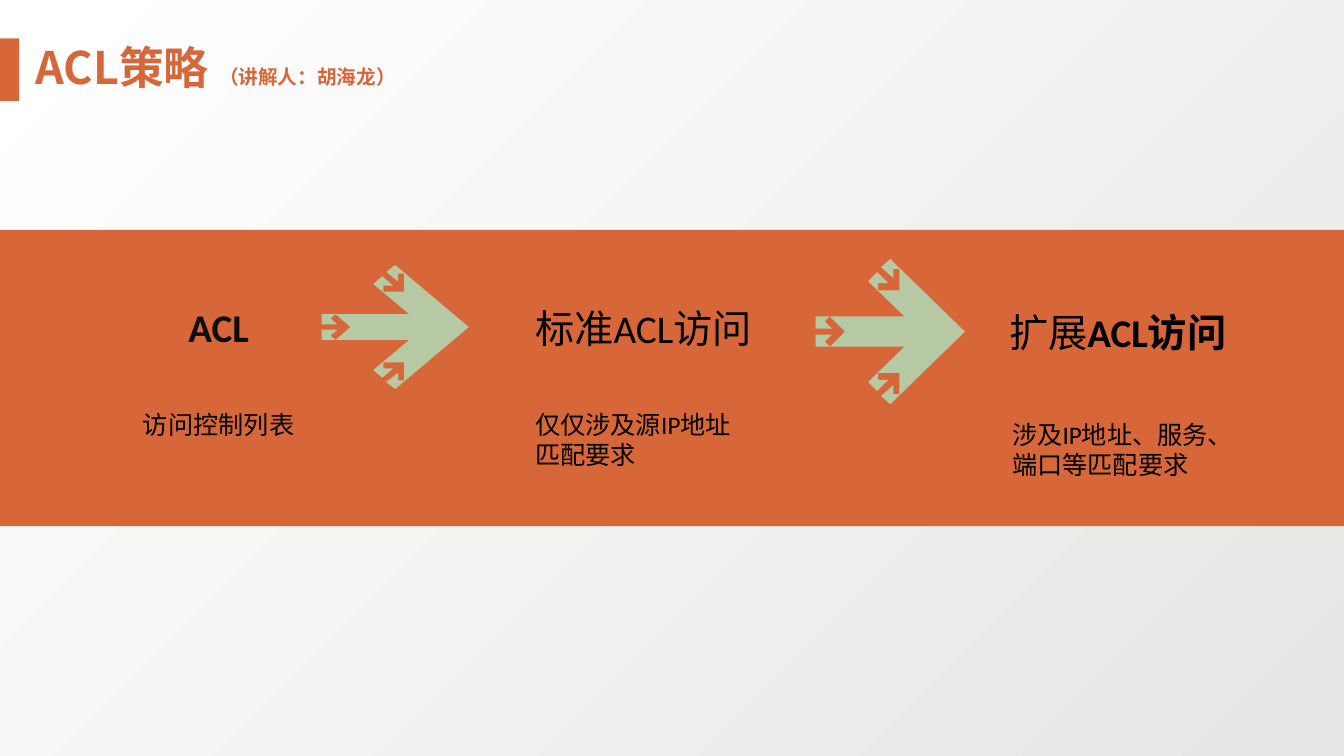
from lxml.etree import SubElement
from pptx import Presentation
from pptx.dml.color import RGBColor
from pptx.enum.shapes import MSO_SHAPE
from pptx.enum.text import MSO_ANCHOR, PP_ALIGN
from pptx.oxml.ns import qn
from pptx.util import Inches, Pt

ORANGE, GREEN, BLACK, NEAR_BLACK = "D76739", "B7C8A5", "000000", "0D0D0D"
LATIN_FONT, CHINESE_FONT = "Calibri", "Noto Sans CJK SC"

# Upper half of the arrow, from tip to inner notch: x from the left edge,
# y as distance above the axis, for an arrow of the base size
BASE_WIDTH, BASE_HEIGHT = 1.48, 1.44
UPPER_HALF = [
    (1.48, 0), (0.74, 0.72), (0.65, 0.64), (0.77, 0.53), (0.77, 0.62),
    (0.83, 0.62), (0.83, 0.41), (0.62, 0.41), (0.62, 0.48), (0.72, 0.48),
    (0.61, 0.59), (0.52, 0.5), (0.88, 0.15), (0, 0.15), (0, 0.03),
    (0.16, 0.03), (0.09, 0.1), (0.14, 0.15), (0.29, 0),
]


def color(hex_string):
    return RGBColor.from_string(hex_string)


def set_attributes(target, values):
    for name, value in values.items():
        setattr(target, name, value)


def paint(shape, fill):
    shape.shadow.inherit = False
    shape.fill.solid()
    shape.fill.fore_color.rgb = color(fill)
    shape.line.fill.background()


def set_background(slide, start, end):
    fill = slide.background.fill
    fill.gradient()
    fill.gradient_angle = 135
    for stop, hex_string in zip(fill.gradient_stops, (start, end)):
        stop.color.rgb = color(hex_string)


def add_bar(slide, left, top, width, height):
    bar = slide.shapes.add_shape(
        MSO_SHAPE.RECTANGLE, Inches(left), Inches(top), Inches(width), Inches(height))
    paint(bar, ORANGE)


def add_arrow(slide, left, top, width, height):
    lower_half = [(x, -y) for x, y in reversed(UPPER_HALF[1:-1])]
    points = [
        (Inches(left + x * width / BASE_WIDTH),
         Inches(top + height / 2 - y * height / BASE_HEIGHT))
        for x, y in UPPER_HALF + lower_half
    ]
    builder = slide.shapes.build_freeform(*points[0])
    builder.add_line_segments(points[1:], close=True)
    paint(builder.convert_to_shape(), GREEN)


def add_run(paragraph, text, size, hex_string, bold=False, latin=LATIN_FONT):
    run = paragraph.add_run()
    run.text = text
    set_attributes(run.font, {"size": Pt(size), "bold": bold, "name": latin})
    run.font.color.rgb = color(hex_string)
    east_asian = SubElement(run.font._element, qn("a:ea"))
    east_asian.set("typeface", CHINESE_FONT)


def add_title(slide):
    title = slide.shapes.title
    set_attributes(title, {"left": Inches(0.02), "top": Inches(0.34),
                           "width": Inches(4.24), "height": Inches(0.64)})
    set_attributes(title.text_frame, {"word_wrap": True,
                                      "vertical_anchor": MSO_ANCHOR.MIDDLE})
    paragraph = title.text_frame.paragraphs[0]
    paragraph.alignment = PP_ALIGN.CENTER
    for text, size in (("ACL策略 ", 32), ("（讲解人：胡海龙）", 14)):
        add_run(paragraph, text, size, ORANGE, True, CHINESE_FONT)


def add_text(slide, box, lines, size, hex_string=BLACK, wrap=True):
    """Each line is a list of (text, bold) pairs."""
    text_box = slide.shapes.add_textbox(*(Inches(value) for value in box))
    frame = text_box.text_frame
    frame.word_wrap = wrap
    for index, line in enumerate(lines):
        paragraph = frame.add_paragraph() if index else frame.paragraphs[0]
        for text, bold in line:
            add_run(paragraph, text, size, hex_string, bold)


def main():
    presentation = Presentation()
    set_attributes(presentation, {"slide_width": Inches(13.33),
                                  "slide_height": Inches(7.5)})
    slide = presentation.slides.add_slide(presentation.slide_layouts[5])
    set_background(slide, "E6E6E5", "FFFFFF")

    # Band and title
    add_bar(slide, 0, 2.28, 13.33, 2.94)
    add_bar(slide, 0, 0.38, 0.19, 0.62)
    add_title(slide)

    # Arrows between the stages
    add_arrow(slide, 3.19, 2.63, 1.46, 1.23)
    add_arrow(slide, 8.09, 2.57, 1.48, 1.44)

    # Stage headings
    add_text(slide, (1.77, 2.96, 0.8, 0.57), [[("ACL", True)]], 28, NEAR_BLACK, False)
    add_text(slide, (5.21, 2.97, 2.35, 0.57), [[("标准ACL访问", False)]], 28)
    add_text(slide, (9.91, 3.01, 2.59, 0.57),
             [[("扩展", False), ("ACL访问", True)]], 28, wrap=False)

    # Stage descriptions
    add_text(slide, (1.32, 4.01, 1.7, 0.4), [[("访问控制列表", False)]], 18, wrap=False)
    add_text(slide, (5.21, 4.01, 2.14, 0.74),
             [[("仅仅涉及源IP地址", False)], [("匹配要求", False)]], 18)
    add_text(slide, (9.94, 4.11, 2.51, 0.71),
             [[("涉及IP地址、服务、", False)], [("端口等匹配要求", False)]], 18)

    presentation.save("out.pptx")


if __name__ == "__main__":
    main()
